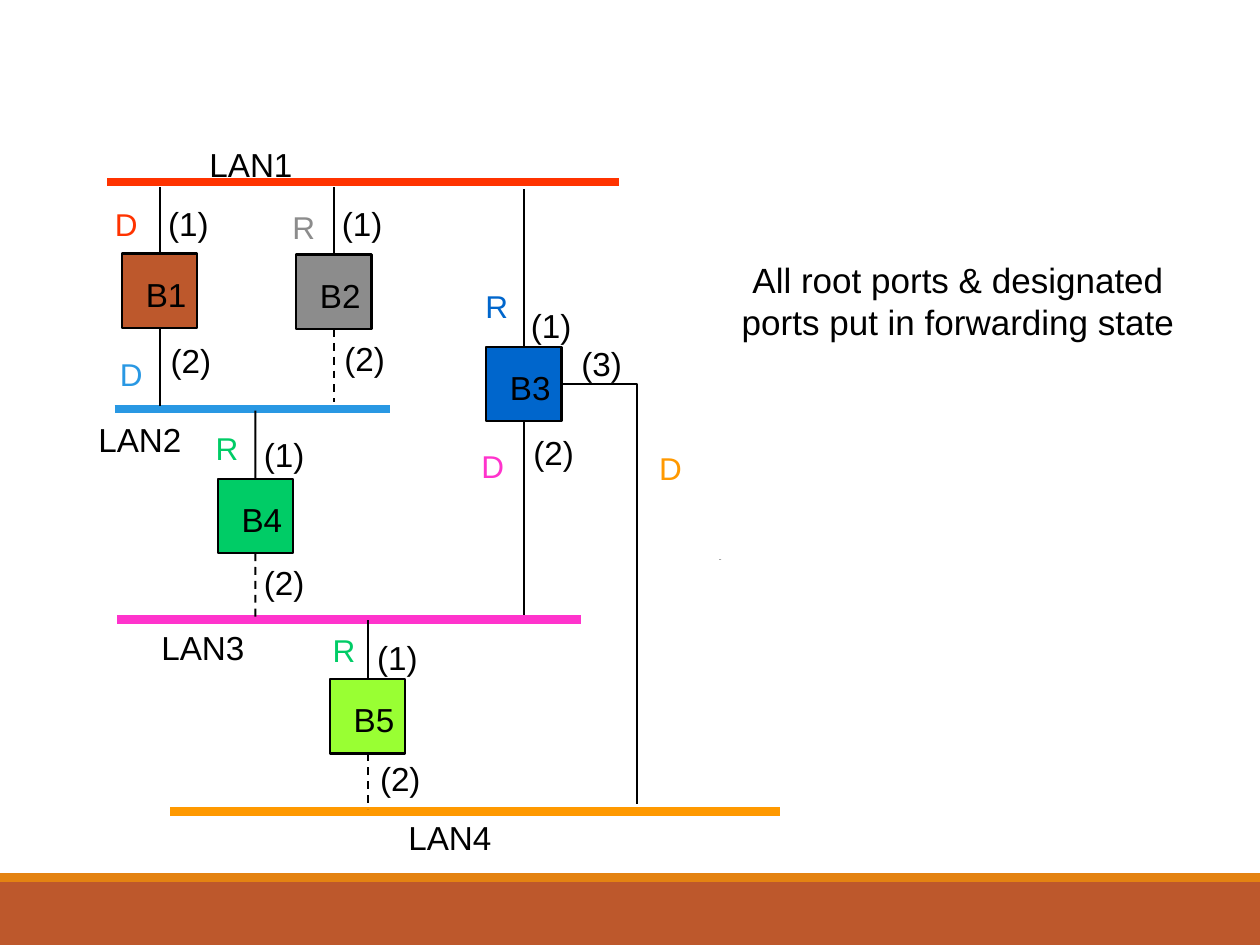
from pptx import Presentation
from pptx.dml.color import RGBColor
from pptx.enum.dml import MSO_LINE
from pptx.enum.shapes import MSO_CONNECTOR, MSO_SHAPE
from pptx.enum.text import MSO_AUTO_SIZE, PP_ALIGN
from pptx.oxml.ns import qn
from pptx.util import Cm, Pt
from lxml.etree import SubElement

BLACK = "000000"
RED, BLUE, PINK, ORANGE = "FF3300", "2998E3", "FF33CC", "FF9900"
RUST, GRAY, NAVY, GREEN, LIME = "BD582C", "8C8C8C", "0066CC", "00CC66", "99FF33"

LANS = [
    ("LAN1", RED, 2.16, 12.47, 3.67, (4.22, 2.9)),
    ("LAN2", BLUE, 2.31, 7.87, 8.25, (1.98, 8.46)),
    ("LAN3", PINK, 2.36, 11.71, 12.49, (3.25, 12.65)),
    ("LAN4", ORANGE, 3.43, 15.72, 16.36, (8.23, 16.48)),
]
BRIDGES = [
    ("B1", RUST, 2.46, 5.11, 3.76, 8.18, False),
    ("B2", GRAY, 5.97, 5.13, 3.76, 8.1, True),
    ("B3", NAVY, 9.8, 6.99, 3.81, 12.4, False),
    ("B4", GREEN, 4.39, 9.65, 8.28, 12.5, True),
    ("B5", LIME, 6.65, 13.69, 12.5, 16.31, True),
]
PORTS = {
    "(1)": [(3.38, 4.09), (6.88, 4.09), (10.69, 6.15), (5.31, 8.76), (7.59, 12.85)],
    "(2)": [(3.43, 6.86), (6.93, 6.83), (10.74, 8.71), (5.31, 11.33), (7.65, 15.29)],
    "(3)": [(11.71, 6.93)],
}
ROLES = [
    ("R", GRAY, 5.64, 4.06),
    ("R", NAVY, 9.53, 5.66),
    ("R", GREEN, 4.09, 8.53),
    ("R", GREEN, 6.45, 12.6),
    ("D", RED, 2.06, 4.01),
    ("D", BLUE, 2.16, 7.04),
    ("D", PINK, 9.45, 8.89),
    ("D", ORANGE, 13.03, 8.92),
]
BRIDGE_WIDTH, BRIDGE_HEIGHT = 1.52, 1.5


def rgb(value):
    return RGBColor.from_string(value)


def write(frame, text, size=19, color=BLACK, font="Arial", wrap=False, inset=None):
    frame.word_wrap = wrap
    frame.auto_size = MSO_AUTO_SIZE.SHAPE_TO_FIT_TEXT
    if inset is not None:
        frame.margin_left = frame.margin_right = Cm(inset)
        frame.margin_top = frame.margin_bottom = Cm(inset)
    paragraph = frame.paragraphs[0]
    paragraph.alignment = PP_ALIGN.CENTER
    run = paragraph.add_run()
    run.text = text
    run.font.name = font
    run.font.size = Pt(size)
    run.font.color.rgb = rgb(color)


class Diagram:
    wire_width = 1.13
    border_width = 1.25
    lan_width = 4.75

    def __init__(self, slide):
        self.shapes = slide.shapes

    def box(self, left, top, width, height, fill, border=None):
        rect = self.shapes.add_shape(
            MSO_SHAPE.RECTANGLE, Cm(left), Cm(top), Cm(width), Cm(height))
        rect.shadow.inherit = False
        rect.fill.solid()
        rect.fill.fore_color.rgb = rgb(fill)
        if border:
            rect.line.color.rgb = rgb(border)
            rect.line.width = Pt(self.border_width)
        else:
            rect.line.fill.background()
        return rect

    def line(self, start, end, color=BLACK, width=wire_width, dashed=False):
        points = [Cm(value) for value in (*start, *end)]
        connector = self.shapes.add_connector(MSO_CONNECTOR.STRAIGHT, *points)
        connector.line.color.rgb = rgb(color)
        connector.line.width = Pt(width)
        if dashed:
            connector.line.dash_style = MSO_LINE.DASH
        SubElement(connector._element.spPr, qn("a:effectLst"))
        return connector

    def bend(self, start, *corners):
        builder = self.shapes.build_freeform(
            Cm(start[0]), Cm(start[1]), scale=1.0)
        builder.add_line_segments(
            [(Cm(x), Cm(y)) for x, y in corners], close=False)
        wire = builder.convert_to_shape()
        wire.shadow.inherit = False
        wire.fill.background()
        wire.line.color.rgb = rgb(BLACK)
        wire.line.width = Pt(self.wire_width)

    def label(self, text, left, top, width=0.84, height=0.81, **style):
        area = self.shapes.add_textbox(Cm(left), Cm(top), Cm(width), Cm(height))
        write(area.text_frame, text, **style)

    def lan(self, name, color, left, right, y, name_at):
        self.line((left, y), (right, y), color, self.lan_width)
        self.label(name, *name_at, width=1.68, inset=0)

    def bridge(self, name, color, left, top, upper_end, lower_end, blocked):
        body = self.box(left, top, BRIDGE_WIDTH, BRIDGE_HEIGHT, color, BLACK)
        self.label(name, left + 0.47, top + 0.41, inset=0)
        center = left + BRIDGE_WIDTH / 2
        upper = self.line((center, top), (center, upper_end))
        upper.begin_connect(body, 0)
        lower = self.line(
            (center, top + BRIDGE_HEIGHT), (center, lower_end), dashed=blocked)
        lower.begin_connect(body, 2)


def main():
    deck = Presentation()
    deck.slide_width, deck.slide_height = Cm(25.4), Cm(19.05)
    diagram = Diagram(deck.slides.add_slide(deck.slide_layouts[6]))

    diagram.box(0, 17.78, 25.4, 1.27, RUST)
    diagram.box(0, 17.6, 25.4, 0.18, "E48312")
    for lan in LANS:
        diagram.lan(*lan)
    for bridge in BRIDGES:
        diagram.bridge(*bridge)
    diagram.box(14.5, 11.28, 0.04, 0.01, BLACK)
    diagram.bend((11.34, 7.74), (12.84, 7.74), (12.84, 16.2))
    for port, places in PORTS.items():
        for left, top in places:
            diagram.label(port, left, top, inset=0)
    for role, color, left, top in ROLES:
        diagram.label(role, left, top, 0.97, 1.02, size=18, color=color)
    diagram.label("All root ports & designated ports put in forwarding state",
                  14.68, 5.08, 9.27, 1.96, size=20, wrap=True)

    deck.save("out.pptx")


if __name__ == "__main__":
    main()
